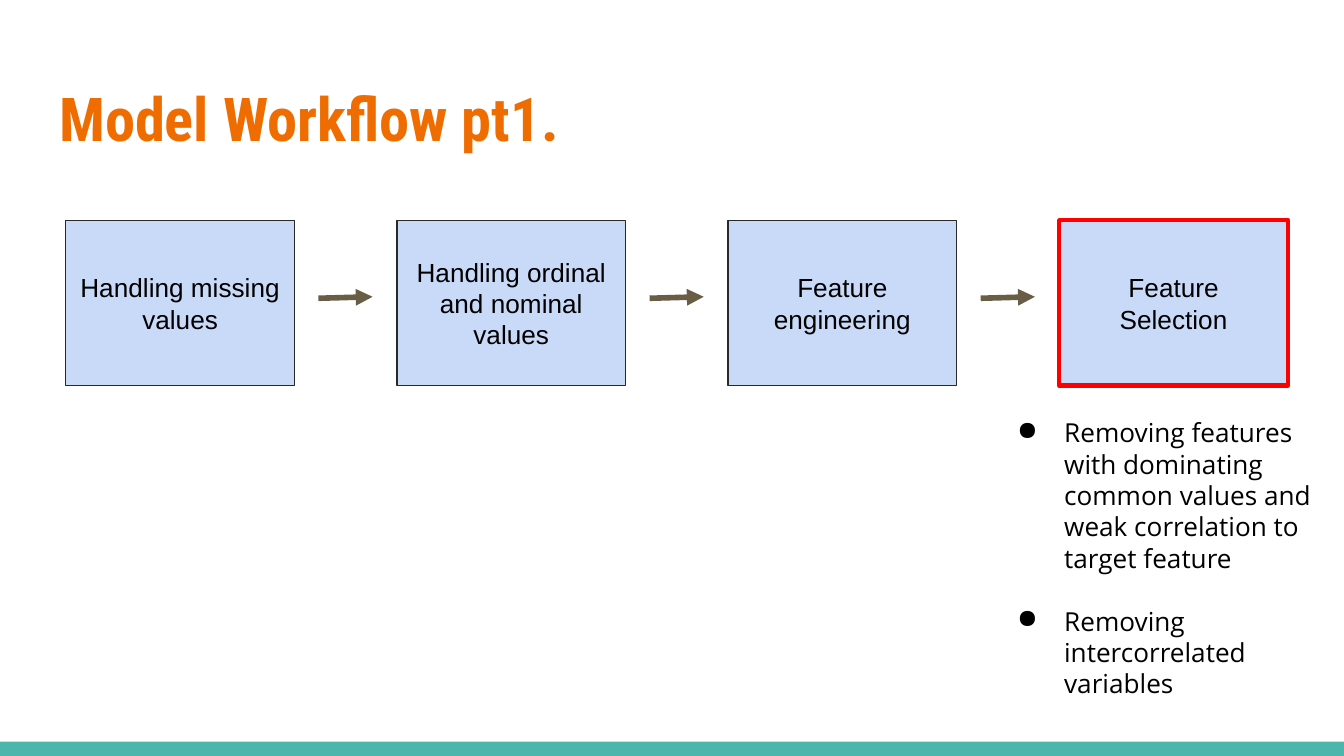
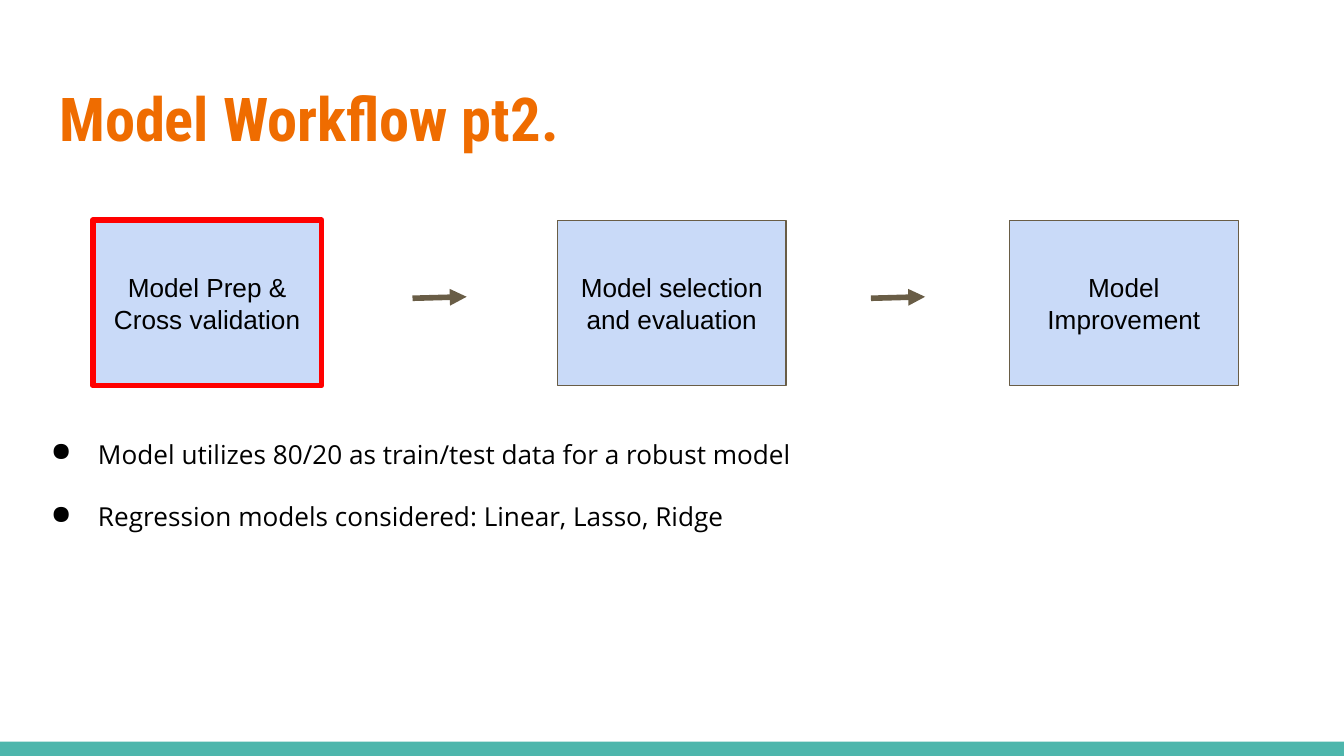
from dataclasses import dataclass
from typing import Any

import lxml.etree
import pptx
import pptx.dml.color
import pptx.enum.shapes
import pptx.enum.text
import pptx.oxml.ns
import pptx.util

Pt = pptx.util.Pt
RGBColor = pptx.dml.color.RGBColor
Align = pptx.enum.text.PP_ALIGN
Anchor = pptx.enum.text.MSO_ANCHOR
qn = pptx.oxml.ns.qn

ORANGE = RGBColor(0xEF, 0x6C, 0x00)
TEAL = RGBColor(0x4D, 0xB6, 0xAC)
PALE_BLUE = RGBColor(0xC9, 0xDA, 0xF8)
CHARCOAL = RGBColor(0x29, 0x29, 0x29)
BROWN = RGBColor(0x69, 0x5D, 0x46)
RED = RGBColor(0xFF, 0x00, 0x00)
BLACK = RGBColor(0x00, 0x00, 0x00)

SLIDE_WIDTH, SLIDE_HEIGHT = 720, 405
BAND_HEIGHT = 7.6
STEP_TOP, STEP_WIDTH, STEP_HEIGHT = 118, 122.6, 88.6
ARROW_START_Y, ARROW_END_Y, ARROW_LENGTH = 159.8, 159, 29
LINE_PITCH = 16.8
INSET = 7.2
BULLET_INDENT, BULLET_HANGING = 36, 25.2


@dataclass(frozen=True)
class Step:
    label: str
    left: float
    outline: RGBColor
    outline_width: float = 0.75


@dataclass(frozen=True)
class Details:
    left: float
    top: float
    width: float
    height: float
    points: tuple[str, ...]


@dataclass(frozen=True)
class Workflow:
    title: str
    steps: tuple[Step, ...]
    arrow_lefts: tuple[float, ...]
    details: Details


PART_1_LEFT, PART_1_PITCH, PART_1_ARROW_OFFSET = 35.2, 177.4, 135.4
PART_1_LEFTS = [PART_1_LEFT + i * PART_1_PITCH for i in range(4)]

WORKFLOWS = (
    Workflow(
        "Model Workflow pt1.",
        (
            Step("Handling missing values", PART_1_LEFTS[0], CHARCOAL),
            Step("Handling ordinal and nominal values", PART_1_LEFTS[1], CHARCOAL),
            Step("Feature engineering", PART_1_LEFTS[2], CHARCOAL),
            Step("Feature Selection", PART_1_LEFTS[3], RED, 2.25),
        ),
        tuple(left + PART_1_ARROW_OFFSET for left in PART_1_LEFTS[:-1]),
        Details(527, 216, 203, 167, (
            "Removing features with dominating common values and weak "
            "correlation to target feature",
            "Removing intercorrelated variables",
        )),
    ),
    Workflow(
        "Model Workflow pt2.",
        (
            Step("Model Prep & Cross validation", 49.7, RED, 3),
            Step("Model selection and evaluation", 298.6, BROWN),
            Step("Model Improvement", 540.8, BROWN),
        ),
        (221, 466.6),
        Details(9.4, 227.5, 576.7, 99.4, (
            "Model utilizes 80/20 as train/test data for a robust model",
            "Regression models considered: Linear, Lasso, Ridge",
        )),
    ),
)


def add_bullet(paragraph: Any) -> None:
    properties = paragraph._p.get_or_add_pPr()
    properties.set("marL", str(Pt(BULLET_INDENT)))
    properties.set("indent", str(-Pt(BULLET_HANGING)))
    colour = lxml.etree.SubElement(properties, qn("a:buClr"))
    lxml.etree.SubElement(colour, qn("a:srgbClr"), val=str(BLACK))
    lxml.etree.SubElement(properties, qn("a:buChar"), char="●")


def write_text(frame: Any, *texts: str, font: str, size: float = 14,
               colour: RGBColor = BLACK, bold: bool = False,
               align: Align = Align.LEFT, anchor: Anchor = Anchor.TOP,
               pitch: float | None = LINE_PITCH, gap: float = 0,
               bulleted: bool = False) -> None:
    """Fill a text frame, one paragraph per text, with gap points between."""
    frame.word_wrap = True
    frame.auto_size = pptx.enum.text.MSO_AUTO_SIZE.NONE
    frame.vertical_anchor = anchor
    frame.margin_left = frame.margin_right = Pt(INSET)
    frame.margin_top = frame.margin_bottom = Pt(INSET)
    for index, text in enumerate(texts):
        paragraph = frame.add_paragraph() if index else frame.paragraphs[0]
        if bulleted:
            add_bullet(paragraph)
        paragraph.alignment = align
        paragraph.space_before = Pt(gap if index else 0)
        if pitch is not None:
            paragraph.line_spacing = Pt(pitch)
        run = paragraph.add_run()
        run.text = text
        run.font.name = font
        run.font.size = Pt(size)
        run.font.bold = bold
        run.font.color.rgb = colour


def add_rectangle(slide: Any, left: float, top: float, width: float,
                  height: float, fill: RGBColor) -> Any:
    rectangle = slide.shapes.add_shape(
        pptx.enum.shapes.MSO_SHAPE.RECTANGLE,
        Pt(left), Pt(top), Pt(width), Pt(height))
    rectangle.shadow.inherit = False
    rectangle.fill.solid()
    rectangle.fill.fore_color.rgb = fill
    rectangle.line.fill.background()
    return rectangle


def add_frame(slide: Any, title: str) -> None:
    """Draw what every slide shares: the bottom band and the title."""
    add_rectangle(slide, 0, SLIDE_HEIGHT - BAND_HEIGHT, SLIDE_WIDTH,
                  BAND_HEIGHT, TEAL)
    heading = slide.shapes.title
    heading.left, heading.top = Pt(24.5), Pt(35.3)
    heading.width, heading.height = Pt(671), Pt(55.4)
    write_text(heading.text_frame, title, font="Roboto Condensed", size=32.4,
               colour=ORANGE, bold=True, anchor=Anchor.MIDDLE, pitch=None)


def add_step(slide: Any, step: Step) -> None:
    box = add_rectangle(slide, step.left, STEP_TOP, STEP_WIDTH, STEP_HEIGHT,
                        PALE_BLUE)
    box.line.color.rgb = step.outline
    box.line.width = Pt(step.outline_width)
    write_text(box.text_frame, step.label, font="Arial",
               align=Align.CENTER, anchor=Anchor.MIDDLE)


def add_arrow(slide: Any, left: float) -> None:
    arrow = slide.shapes.add_connector(
        pptx.enum.shapes.MSO_CONNECTOR.STRAIGHT,
        Pt(left), Pt(ARROW_START_Y), Pt(left + ARROW_LENGTH), Pt(ARROW_END_Y))
    arrow.line.color.rgb = BROWN
    arrow.line.width = Pt(3)
    lxml.etree.SubElement(arrow.line._get_or_add_ln(), qn("a:tailEnd"),
                          type="triangle")
    lxml.etree.SubElement(arrow._element.spPr, qn("a:effectLst"))


def add_details(slide: Any, details: Details) -> None:
    notes = slide.shapes.add_textbox(Pt(details.left), Pt(details.top),
                                     Pt(details.width), Pt(details.height))
    write_text(notes.text_frame, *details.points, font="Open Sans",
               gap=LINE_PITCH, bulleted=True)


def main() -> None:
    deck = pptx.Presentation()
    deck.slide_width, deck.slide_height = Pt(SLIDE_WIDTH), Pt(SLIDE_HEIGHT)
    title_only = deck.slide_layouts.get_by_name("Title Only")
    for workflow in WORKFLOWS:
        slide = deck.slides.add_slide(title_only)
        add_frame(slide, workflow.title)
        for step in workflow.steps:
            add_step(slide, step)
        for left in workflow.arrow_lefts:
            add_arrow(slide, left)
        add_details(slide, workflow.details)
    deck.save("out.pptx")


if __name__ == "__main__":
    main()
